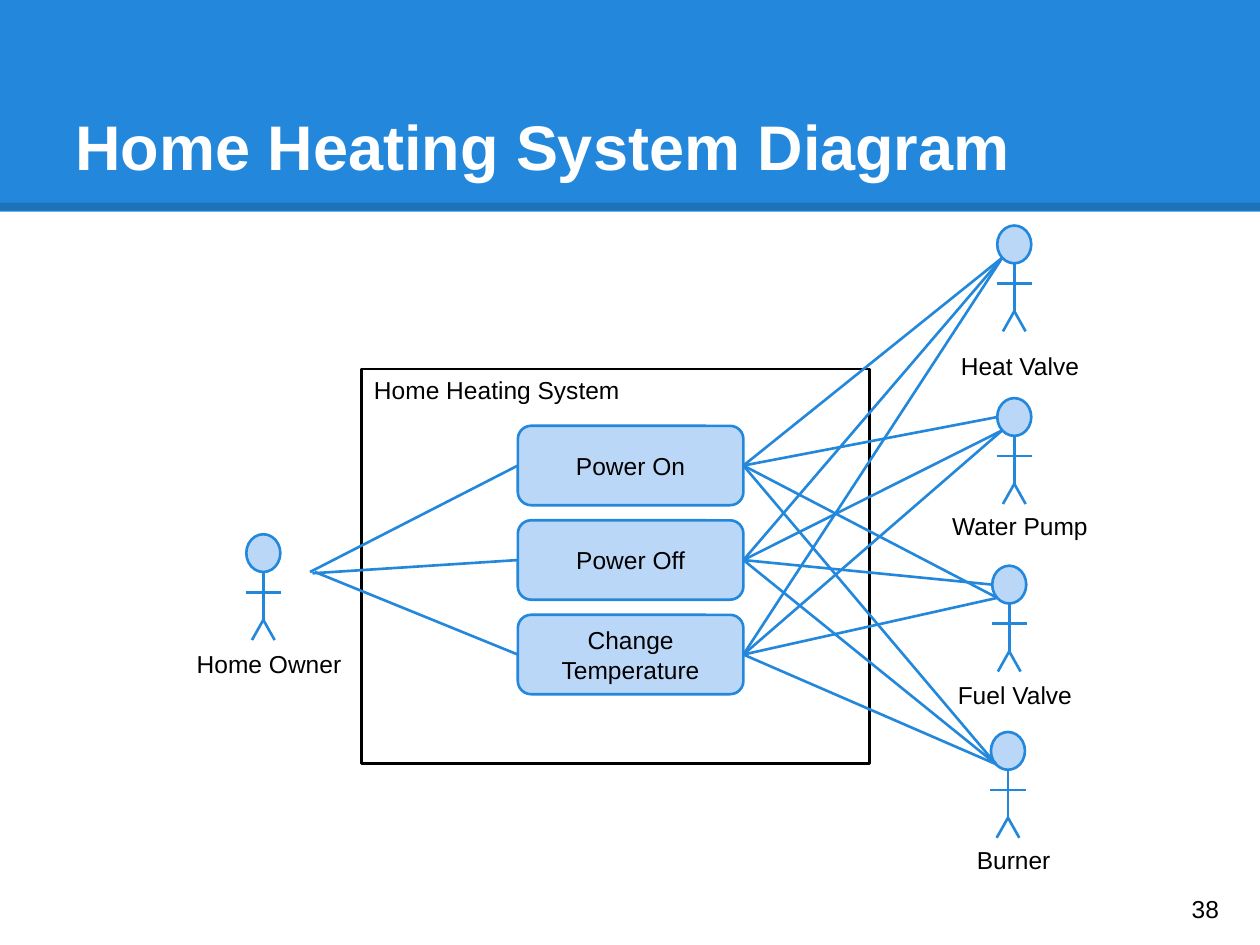
"""Build the home heating system use case slide."""
from lxml.etree import SubElement
from pptx import Presentation
from pptx.dml.color import RGBColor
from pptx.enum.shapes import MSO_CONNECTOR, MSO_SHAPE
from pptx.enum.text import MSO_ANCHOR, PP_ALIGN
from pptx.oxml.ns import qn
from pptx.util import Inches, Pt

WIDTH, HEIGHT = 10, 7.5
BLUE, PALE, BLACK, WHITE = "2388DB", "BBD7F8", "000000", "FFFFFF"
TITLE = "Home Heating System Diagram"
SYSTEM = "Home Heating System"
PAGE = "38"

USE_CASES = ["Power On", "Power Off", "Change Temperature"]
CASE_LEFT, CASE_TOP, CASE_WIDTH, CASE_HEIGHT, CASE_PITCH = 4.11, 3.38, 1.79, 0.63, 0.75

OWNER = ("Home Owner", 2.09, 4.24, 0.81, 0.3)
DEVICES = [
    ("Heat Valve", 8.05, 1.79, 0.94, 0.16),
    ("Water Pump", 8.05, 3.16, 0.8, 0.3),
    ("Fuel Valve", 8.01, 4.49, 0.81, 0.3),
    ("Burner", 8, 5.81, 0.8, 0.3),
]
OWNER_ENDS = [(2.46, 4.54), (2.48, 4.55), (2.5, 4.54)]
SIDE_LINKS = {("Power On", "Water Pump"), ("Power Off", "Fuel Valve")}

HEAD_WIDTH, HEAD_HEIGHT = 0.27, 0.3
LIMBS = [
    ((0, 0.3), (0, 0.68)),
    ((0, 0.68), (-0.09, 0.84)),
    ((0, 0.68), (0.09, 0.84)),
    ((-0.14, 0.46), (0.14, 0.46)),
]


def color(value):
    return RGBColor.from_string(value)


def write(shape, text, size=14, ink=BLACK, bold=False, align=PP_ALIGN.LEFT,
          anchor=MSO_ANCHOR.TOP, inset=0.1):
    frame = shape.text_frame
    frame.word_wrap = True
    frame.vertical_anchor = anchor
    frame.margin_left = frame.margin_right = Inches(0.1)
    frame.margin_top = frame.margin_bottom = Inches(inset)
    frame.text = text
    paragraph = frame.paragraphs[0]
    paragraph.alignment = align
    font = paragraph.runs[0].font
    font.name, font.size, font.bold = "Arial", Pt(size), bold
    font.color.rgb = color(ink)


def add_text(slide, box, text, **style):
    write(slide.shapes.add_textbox(*map(Inches, box)), text, **style)


def add_box(slide, kind, box, fill, line=None):
    shape = slide.shapes.add_shape(kind, *map(Inches, box))
    shape.shadow.inherit = False
    shape.fill.solid()
    shape.fill.fore_color.rgb = color(fill)
    if line:
        shape.line.color.rgb = color(line)
        shape.line.width = Pt(1.5)
    else:
        shape.line.fill.background()
    return shape


def add_line(slide, start, end, ink=BLUE, width=1.5):
    line = slide.shapes.add_connector(MSO_CONNECTOR.STRAIGHT, *map(Inches, (*start, *end)))
    line.line.color.rgb = color(ink)
    line.line.width = Pt(width)
    SubElement(line._element.spPr, qn("a:effectLst"))
    return line


def add_actor(slide, name, center, top, label_drop, label_height):
    head = (center - HEAD_WIDTH / 2, top, HEAD_WIDTH, HEAD_HEIGHT)
    add_box(slide, MSO_SHAPE.OVAL, head, PALE, BLUE)
    for limb in LIMBS:
        add_line(slide, *[(center + x, top + y) for x, y in limb])
    add_text(slide, (center - 0.66, top + label_drop, 1.41, label_height), name,
             align=PP_ALIGN.CENTER)


def add_header(slide):
    add_box(slide, MSO_SHAPE.RECTANGLE, (0, 0, WIDTH, 1.68), BLUE)
    rule = add_line(slide, (0, 1.64), (WIDTH, 1.64), BLACK, 4.5)
    ink = rule._element.spPr.find(".//" + qn("a:srgbClr"))
    SubElement(ink, qn("a:alpha")).set("val", "15000")
    add_text(slide, (0.5, 0.3, 9, 1.25), TITLE, size=36, ink=WHITE, bold=True,
             anchor=MSO_ANCHOR.BOTTOM)


def add_use_cases(slide):
    cases = {}
    for row, name in enumerate(USE_CASES):
        box = (CASE_LEFT, CASE_TOP + row * CASE_PITCH, CASE_WIDTH, CASE_HEIGHT)
        cases[name] = add_box(slide, MSO_SHAPE.ROUNDED_RECTANGLE, box, PALE, BLUE)
        write(cases[name], name, align=PP_ALIGN.CENTER, anchor=MSO_ANCHOR.MIDDLE)
    return cases


def add_links(slide, cases):
    for start, case in zip(OWNER_ENDS, cases.values()):
        add_line(slide, start, (CASE_LEFT, CASE_TOP)).end_connect(case, 1)
    for device, center, top, *_ in DEVICES:
        for name, case in cases.items():
            if (name, device) in SIDE_LINKS:
                end = (center - HEAD_WIDTH / 2, top + HEAD_HEIGHT / 2)
            else:
                end = (center - 0.35 * HEAD_WIDTH, top + 0.85 * HEAD_HEIGHT)
            add_line(slide, (CASE_LEFT, CASE_TOP), end).begin_connect(case, 3)


def main():
    presentation = Presentation()
    presentation.slide_width, presentation.slide_height = Inches(WIDTH), Inches(HEIGHT)
    slide = presentation.slides.add_slide(presentation.slide_layouts[6])
    add_header(slide)
    system = add_box(slide, MSO_SHAPE.RECTANGLE, (2.87, 2.93, 4.03, 3.13), WHITE, BLACK)
    write(system, SYSTEM, inset=0.05)
    cases = add_use_cases(slide)
    for actor in [OWNER, *DEVICES]:
        add_actor(slide, *actor)
    add_links(slide, cases)
    add_text(slide, (9.36, 6.93, 0.6, 0.57), PAGE, anchor=MSO_ANCHOR.MIDDLE)
    presentation.save("out.pptx")


if __name__ == "__main__":
    main()
